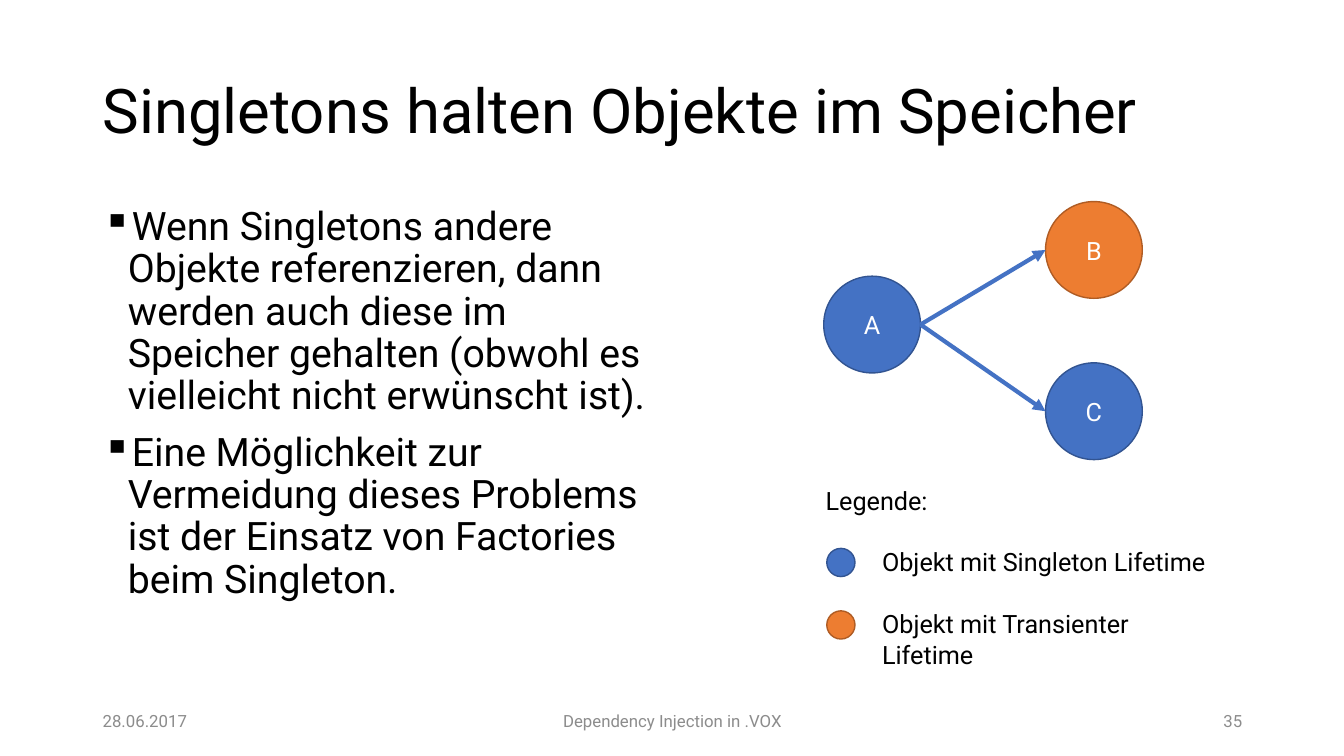
from lxml.etree import SubElement
from pptx import Presentation
from pptx.dml.color import RGBColor
from pptx.enum.shapes import MSO_CONNECTOR, MSO_SHAPE
from pptx.enum.text import MSO_ANCHOR, PP_ALIGN
from pptx.oxml.ns import qn
from pptx.util import Emu, Pt

PX = 9144  # one px is a hundredth of an inch
COLORS = {
    "black": "000000",
    "white": "FFFFFF",
    "grey": "8C8C8C",
    "singleton": "4472C4",
    "singleton_line": "325491",
    "transient": "ED7D31",
    "transient_line": "AF5C24",
}


def px(*lengths):
    return [Emu(length * PX) for length in lengths]


class SlideBuilder:
    font_name = "Roboto"

    def __init__(self, slide):
        self.slide = slide

    def color(self, name):
        return RGBColor.from_string(COLORS[name])

    def style(self, paragraph, size, color, align=PP_ALIGN.LEFT):
        paragraph.alignment = align
        paragraph.font.name = self.font_name
        paragraph.font.size = Pt(size)
        paragraph.font.color.rgb = self.color(color)

    def text(self, box, paragraphs, size, color="black", align=PP_ALIGN.LEFT,
             anchor=MSO_ANCHOR.TOP, wrap=True, line_spacing=None):
        frame = self.slide.shapes.add_textbox(*px(*box)).text_frame
        frame.word_wrap = wrap
        frame.vertical_anchor = anchor
        frame.text = "\n".join(paragraphs)
        for paragraph in frame.paragraphs:
            self.style(paragraph, size, color, align)
            if line_spacing:
                paragraph.line_spacing = line_spacing
        return frame

    def bullets(self, box, paragraphs, size):
        frame = self.text(box, paragraphs, size, line_spacing=0.9)
        indent = px(25)[0]
        for paragraph in frame.paragraphs:
            paragraph.space_before = Pt(10)
            properties = paragraph._p.get_or_add_pPr()
            properties.set("marL", str(indent))
            properties.set("indent", str(-indent))
            SubElement(properties, qn("a:buChar"), char="▪")

    def circle(self, left, top, diameter, kind, label=None):
        shape = self.slide.shapes.add_shape(
            MSO_SHAPE.OVAL, *px(left, top, diameter, diameter))
        shape.shadow.inherit = False
        shape.fill.solid()
        shape.fill.fore_color.rgb = self.color(kind)
        shape.line.color.rgb = self.color(kind + "_line")
        shape.line.width = Pt(1)
        if label:
            shape.text_frame.text = label
            shape.text_frame.vertical_anchor = MSO_ANCHOR.MIDDLE
            self.style(shape.text_frame.paragraphs[0], 18, "white", PP_ALIGN.CENTER)

    def arrow(self, start, end):
        connector = self.slide.shapes.add_connector(
            MSO_CONNECTOR.STRAIGHT, *px(*start, *end))
        connector.line.color.rgb = self.color("singleton")
        connector.line.width = Pt(3)
        SubElement(connector.line._get_or_add_ln(), qn("a:tailEnd"), type="triangle")
        SubElement(connector._element.spPr, qn("a:effectLst"))


def main():
    presentation = Presentation()
    presentation.slide_width, presentation.slide_height = px(1333, 750)
    slide = presentation.slides.add_slide(presentation.slide_layouts[6])
    builder = SlideBuilder(slide)

    # Title and body
    builder.text((92, 40, 1150, 145), ["Singletons halten Objekte im Speicher"], 44,
                 anchor=MSO_ANCHOR.MIDDLE, line_spacing=0.9)
    builder.bullets((92, 200, 567, 476), [
        "Wenn Singletons andere Objekte referenzieren, dann werden auch diese im "
        "Speicher gehalten (obwohl es vielleicht nicht erwünscht ist).",
        "Eine Möglichkeit zur Vermeidung dieses Problems ist der Einsatz von "
        "Factories beim Singleton.",
    ], 28)

    # Footer
    for left, width, footer, align in (
        (92, 300, "28.06.2017", PP_ALIGN.LEFT),
        (442, 450, "Dependency Injection in .VOX", PP_ALIGN.CENTER),
        (942, 300, "35", PP_ALIGN.RIGHT),
    ):
        builder.text((left, 695, width, 40), [footer], 12, "grey", align,
                     MSO_ANCHOR.MIDDLE)

    # Object graph: A references B and C
    diameter = 96
    radius = diameter // 2
    a_left, a_top = 817, 274
    builder.circle(a_left, a_top, diameter, "singleton", "A")
    for label, left, top, kind in (
        ("B", 1037, 200, "transient"),
        ("C", 1037, 360, "singleton"),
    ):
        builder.circle(left, top, diameter, kind, label)
        builder.arrow((a_left + diameter, a_top + radius), (left, top + radius))

    # Legend
    builder.text((809, 477, 121, 40), ["Legende:"], 18, wrap=False)
    for row, (kind, meaning, width) in enumerate((
        ("singleton", "Objekt mit Singleton Lifetime", 346),
        ("transient", "Objekt mit Transienter Lifetime", 361),
    )):
        top = 537 + 62 * row
        builder.circle(820, top + 7, 28, kind)
        builder.text((865, top, width, 40), [meaning], 18, wrap=False)

    presentation.save("out.pptx")


if __name__ == "__main__":
    main()
